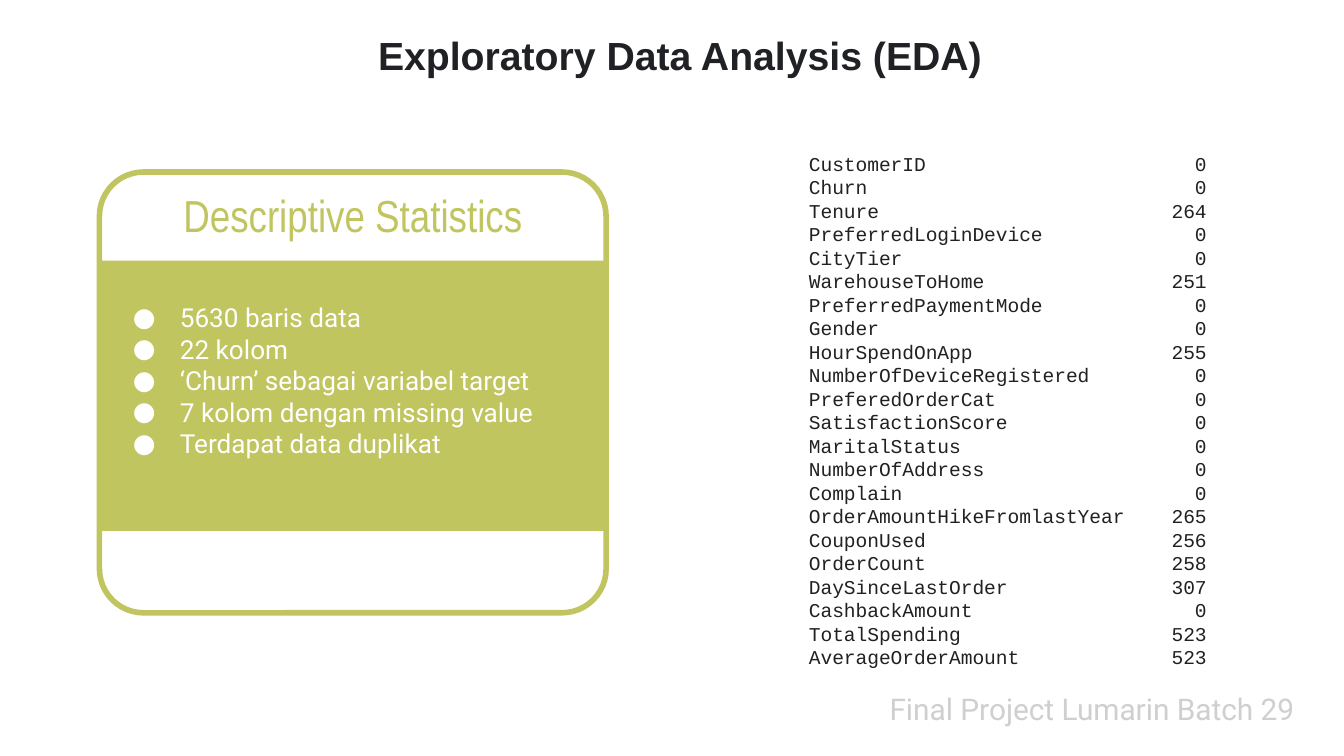
from lxml import etree
from pptx import Presentation
from pptx import util as u
from pptx.dml.color import RGBColor
from pptx.enum import shapes, text
from pptx.oxml.ns import qn

COLORS = {"ink": "202124", "table": "212121", "olive": "C0C55F", "white": "FFFFFF", "footer": "CFCFCF"}

STATISTICS = [
    "5630 baris data",
    "22 kolom",
    "‘Churn’ sebagai variabel target",
    "7 kolom dengan missing value",
    "Terdapat data duplikat",
]
MISSING_VALUES = [
    ("CustomerID", 0), ("Churn", 0), ("Tenure", 264), ("PreferredLoginDevice", 0),
    ("CityTier", 0), ("WarehouseToHome", 251), ("PreferredPaymentMode", 0), ("Gender", 0),
    ("HourSpendOnApp", 255), ("NumberOfDeviceRegistered", 0), ("PreferedOrderCat", 0),
    ("SatisfactionScore", 0), ("MaritalStatus", 0), ("NumberOfAddress", 0), ("Complain", 0),
    ("OrderAmountHikeFromlastYear", 265), ("CouponUsed", 256), ("OrderCount", 258),
    ("DaySinceLastOrder", 307), ("CashbackAmount", 0), ("TotalSpending", 523),
    ("AverageOrderAmount", 523),
]
CARD_LEFT, CARD_WIDTH = u.Inches(0.74), u.Inches(3.77)


def write(shape, lines, size, font, color, align, anchor=text.MSO_ANCHOR.MIDDLE, inset=0.1, bold=False):
    frame = shape.text_frame
    frame.text = "\n".join(lines)
    frame.word_wrap = True
    frame.auto_size = text.MSO_AUTO_SIZE.NONE
    frame.vertical_anchor = anchor
    frame.margin_left = frame.margin_right = u.Inches(0.1)
    frame.margin_top = frame.margin_bottom = u.Inches(inset)
    for paragraph in frame.paragraphs:
        paragraph.alignment = align
        for run in paragraph.runs:
            run.font.size = u.Pt(size)
            run.font.name = font
            run.font.bold = bold
            run.font.color.rgb = RGBColor.from_string(COLORS[color])
    return frame


def add_card_part(kind, top, height, fill):
    shape = slide.shapes.add_shape(kind, CARD_LEFT, u.Inches(top), CARD_WIDTH, u.Inches(height))
    shape.shadow.inherit = False
    shape.fill.solid()
    shape.fill.fore_color.rgb = RGBColor.from_string(COLORS[fill])
    return shape


presentation = Presentation()
presentation.slide_width = u.Inches(10)
presentation.slide_height = u.Inches(10 * 9 / 16)
slide = presentation.slides.add_slide(presentation.slide_layouts[5])

title = slide.shapes.title
title.left, title.top = u.Inches(2.22), u.Inches(0.23)
title.width, title.height = u.Inches(5.68), u.Inches(0.35)
write(title, ["Exploratory Data Analysis (EDA)"], 21, "Arial", "ink", text.PP_ALIGN.CENTER, bold=True)

footer = slide.shapes.add_textbox(u.Inches(6.52), u.Inches(5.04), u.Inches(3.28), u.Inches(0.47))
write(footer, ["Final Project Lumarin Batch 29"], 16, "Roboto", "footer", text.PP_ALIGN.LEFT)

card = add_card_part(shapes.MSO_SHAPE.ROUNDED_RECTANGLE, 1.28, 3.28, "white")
card.adjustments[0] = 0.1
card.line.color.rgb = RGBColor.from_string(COLORS["olive"])
card.line.width = u.Pt(3)

heading = slide.shapes.add_textbox(CARD_LEFT, u.Inches(1.35), CARD_WIDTH, u.Inches(0.49))
write(heading, ["Descriptive Statistics"], 24, "Arial Narrow", "olive", text.PP_ALIGN.CENTER, inset=0.05)

band = add_card_part(shapes.MSO_SHAPE.RECTANGLE, 1.94, 2.01, "olive")
band.line.fill.background()
band_frame = write(band, STATISTICS, 14, "Roboto", "white", text.PP_ALIGN.JUSTIFY, inset=0.05)
band_frame.margin_bottom = u.Inches(0.28)
for paragraph in band_frame.paragraphs:
    properties = paragraph._p.get_or_add_pPr()
    properties.set("marL", str(u.Inches(0.5)))
    properties.set("indent", str(u.Inches(-0.35)))
    bullet_color = etree.SubElement(properties, qn("a:buClr"))
    etree.SubElement(bullet_color, qn("a:srgbClr"), val=COLORS["white"])
    etree.SubElement(properties, qn("a:buSzPts"), val="1400")
    etree.SubElement(properties, qn("a:buFont"), typeface="Roboto")
    etree.SubElement(properties, qn("a:buChar"), char="●")

counts = slide.shapes.add_textbox(u.Inches(5.92), u.Inches(1.03), u.Inches(3.28), u.Inches(4.09))
count_lines = [f"{column}\t{count}" for column, count in MISSING_VALUES]
counts_frame = write(counts, count_lines, 10.5, "Courier New", "table", text.PP_ALIGN.LEFT, text.MSO_ANCHOR.TOP)
for paragraph in counts_frame.paragraphs:
    tabs = etree.SubElement(paragraph._p.get_or_add_pPr(), qn("a:tabLst"))
    etree.SubElement(tabs, qn("a:tab"), pos=str(u.Inches(2.96)), algn="r")

presentation.save("out.pptx")
